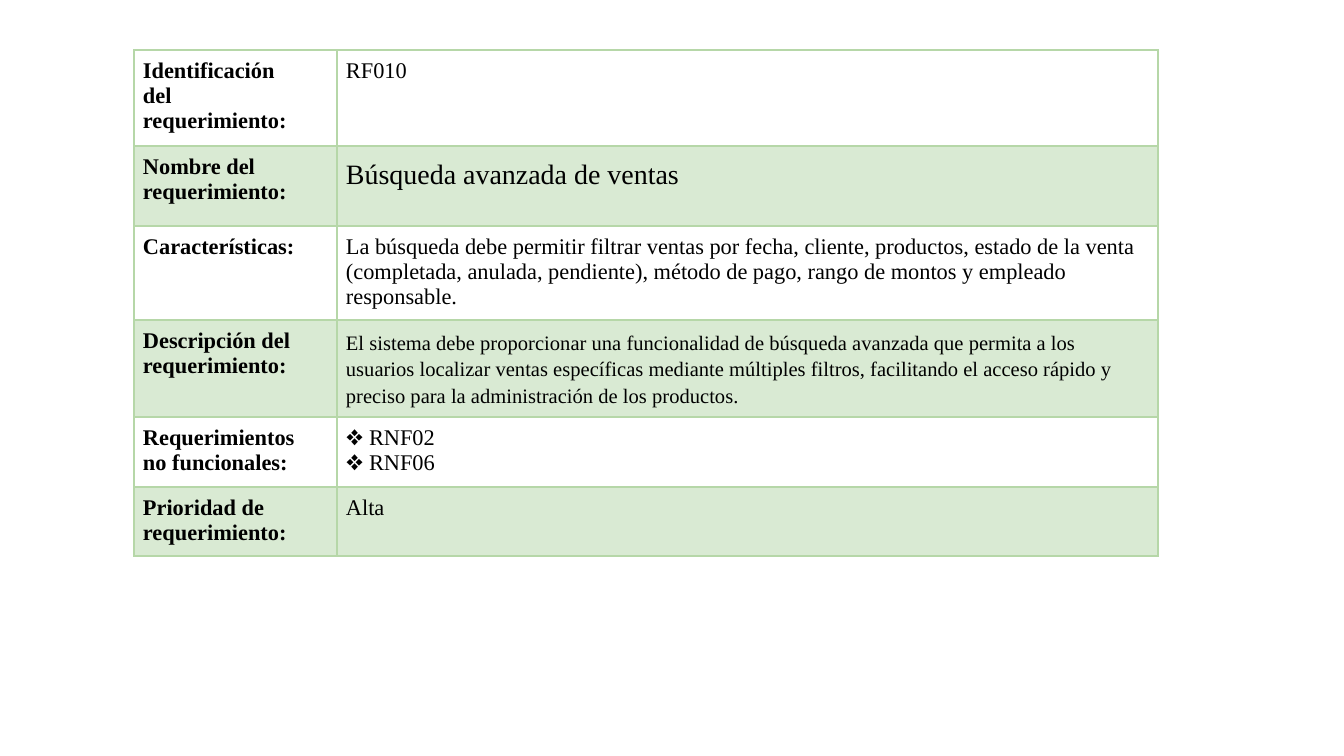
from lxml.etree import SubElement
from pptx import Presentation
from pptx.dml.color import RGBColor
from pptx.oxml.ns import qn
from pptx.util import Pt

PX = 914400 / 134.4
COLORS = {"text": "000000", "band": "D9EAD3", "border": "B6D7A8"}
FONT = "Times New Roman"
SLIDE_SIZE = (1344, 756)
TABLE_LEFT, TABLE_TOP = 134, 50
COLUMN_WIDTHS = (203, 821)
CELL_MARGIN = 9
BORDER_WIDTH = Pt(1)

REQUIREMENT = [
    {"label": ["Identificación", "del", "requerimiento:"],
     "value": ["RF010"], "height": 96},
    {"label": ["Nombre del", "requerimiento:"],
     "value": ["Búsqueda avanzada de ventas"],
     "height": 80, "size": 15, "spacing": 1.15},
    {"label": ["Características:"],
     "value": ["La búsqueda debe permitir filtrar ventas por fecha, cliente, "
               "productos, estado de la venta (completada, anulada, pendiente), "
               "método de pago, rango de montos y empleado responsable."],
     "height": 94},
    {"label": ["Descripción del", "requerimiento:"],
     "value": ["El sistema debe proporcionar una funcionalidad de búsqueda "
               "avanzada que permita a los usuarios localizar ventas específicas "
               "mediante múltiples filtros, facilitando el acceso rápido y "
               "preciso para la administración de los productos."],
     "height": 97, "size": 11, "spacing": 1.15},
    {"label": ["Requerimientos", "no funcionales:"],
     "value": ["❖ RNF02", "❖ RNF06"], "height": 70},
    {"label": ["Prioridad de", "requerimiento:"],
     "value": ["Alta"], "height": 69},
]


def px(length):
    return round(length * PX)


def add_borders(cell):
    properties = cell._tc.get_or_add_tcPr()
    for side in ("a:lnL", "a:lnR", "a:lnT", "a:lnB"):
        line = SubElement(properties, qn(side), w=str(BORDER_WIDTH))
        fill = SubElement(line, qn("a:solidFill"))
        SubElement(fill, qn("a:srgbClr"), val=COLORS["border"])


def fill_cell(cell, lines, banded, bold=False, size=12, spacing=None):
    add_borders(cell)
    if banded:
        cell.fill.solid()
        cell.fill.fore_color.rgb = RGBColor.from_string(COLORS["band"])
    else:
        cell.fill.background()
    cell.margin_left = cell.margin_right = px(CELL_MARGIN)
    cell.margin_top = cell.margin_bottom = px(CELL_MARGIN)
    frame = cell.text_frame
    for index, line in enumerate(lines):
        paragraph = frame.add_paragraph() if index else frame.paragraphs[0]
        if spacing:
            paragraph.line_spacing = spacing
        run = paragraph.add_run()
        run.text = line
        run.font.name = FONT
        run.font.size = Pt(size)
        run.font.bold = bold
        run.font.color.rgb = RGBColor.from_string(COLORS["text"])


def main():
    deck = Presentation()
    deck.slide_width, deck.slide_height = map(px, SLIDE_SIZE)
    slide = deck.slides.add_slide(deck.slide_layouts[6])
    requirement_table = slide.shapes.add_table(
        len(REQUIREMENT), len(COLUMN_WIDTHS), px(TABLE_LEFT), px(TABLE_TOP),
        px(sum(COLUMN_WIDTHS)), px(sum(row["height"] for row in REQUIREMENT)),
    ).table
    requirement_table.first_row = False
    requirement_table.horz_banding = False
    for column, width in zip(requirement_table.columns, COLUMN_WIDTHS):
        column.width = px(width)
    for index, row in enumerate(REQUIREMENT):
        requirement_table.rows[index].height = px(row["height"])
        banded = index % 2 == 1
        fill_cell(requirement_table.cell(index, 0), row["label"], banded, bold=True)
        fill_cell(requirement_table.cell(index, 1), row["value"], banded,
                  size=row.get("size", 12), spacing=row.get("spacing"))
    deck.save("out.pptx")


if __name__ == "__main__":
    main()
